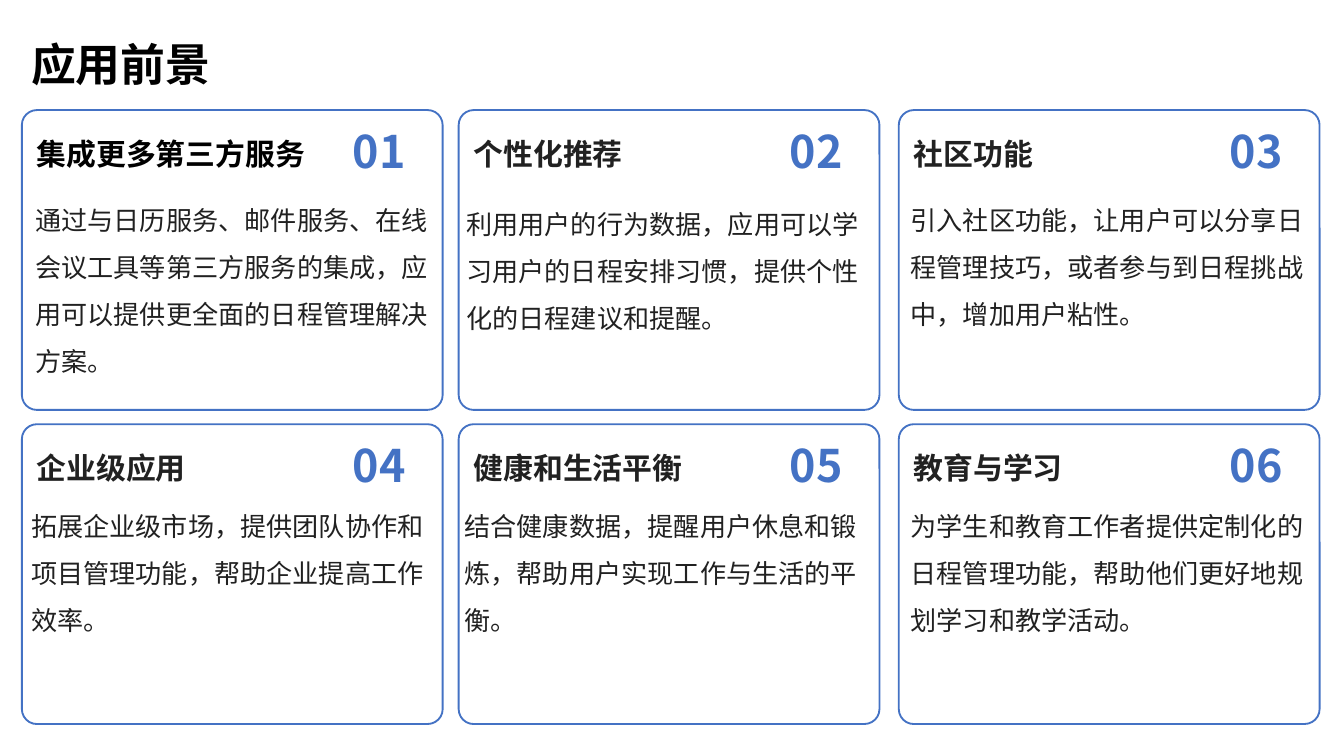
"""Build the application prospects slide with six numbered cards."""
from lxml.etree import SubElement
from pptx import Presentation
from pptx.dml.color import RGBColor
from pptx.enum.shapes import MSO_SHAPE as SHAPE
from pptx.enum.text import MSO_ANCHOR as ANCHOR, MSO_AUTO_SIZE as FIT, PP_ALIGN as ALIGN
from pptx.oxml.ns import qn
from pptx.util import Pt

PX = 5715
FONT = "Noto Sans CJK SC"
BLUE, DARK, BLACK, WHITE = "4472C4", "212121", "000000", "FFFFFF"


def rgb(value):
    return RGBColor.from_string(value)


def write(sp, text, size, color, bold=False, anchor=ANCHOR.MIDDLE,
          align=ALIGN.LEFT, spacing=1.0, wrap=True):
    tf = sp.text_frame
    tf.text = text
    tf.word_wrap = wrap
    tf.auto_size = FIT.NONE
    tf.vertical_anchor = anchor
    tf.margin_left = tf.margin_top = tf.margin_right = tf.margin_bottom = 0
    p = tf.paragraphs[0]
    p.alignment = align
    p.line_spacing = spacing
    r = p.runs[0]
    r.font.size = Pt(size)
    r.font.bold = bold
    r.font.color.rgb = rgb(color)
    r.font.name = FONT
    SubElement(r.font._element, qn("a:ea"), typeface=FONT)


prs = Presentation()
prs.slide_width, prs.slide_height = 1600 * PX, 900 * PX
s = prs.slides.add_slide(prs.slide_layouts[5])

title = s.shapes.title
title.left, title.top, title.width, title.height = 37 * PX, 16 * PX, 1418 * PX, 93 * PX
write(title, "应用前景", 24, BLACK, bold=True, anchor=ANCHOR.BOTTOM, spacing=0.9)

columns = [26, 546, 1070]
rows = [131, 505]
cards = [
    ("集成更多第三方服务", BLACK, 42, 225,
     "通过与日历服务、邮件服务、在线会议工具等第三方服务的集成，应用可以提供更全面的日程管理解决方案。"),
    ("个性化推荐", DARK, 555, 229,
     "利用用户的行为数据，应用可以学习用户的日程安排习惯，提供个性化的日程建议和提醒。"),
    ("社区功能", DARK, 1084, 225,
     "引入社区功能，让用户可以分享日程管理技巧，或者参与到日程挑战中，增加用户粘性。"),
    ("企业级应用", DARK, 37, 589,
     "拓展企业级市场，提供团队协作和项目管理功能，帮助企业提高工作效率。"),
    ("健康和生活平衡", DARK, 553, 589,
     "结合健康数据，提醒用户休息和锻炼，帮助用户实现工作与生活的平衡。"),
    ("教育与学习", DARK, 1084, 589,
     "为学生和教育工作者提供定制化的日程管理功能，帮助他们更好地规划学习和教学活动。"),
]

for i, (heading, color, body_x, body_y, body) in enumerate(cards):
    x, y = columns[i % 3], rows[i // 3]

    card = s.shapes.add_shape(SHAPE.ROUNDED_RECTANGLE, x * PX, y * PX, 501 * PX, 357 * PX)
    card.adjustments[0] = 0.05
    card.shadow.inherit = False
    card.fill.solid()
    card.fill.fore_color.rgb = rgb(WHITE)
    card.line.color.rgb = rgb(BLUE)
    card.line.width = Pt(1)

    tb = s.shapes.add_textbox(body_x * PX, body_y * PX, 482 * PX, 272 * PX)
    write(tb, body, 14, DARK, anchor=ANCHOR.TOP, spacing=1.5)

    tb = s.shapes.add_textbox((x + 18) * PX, (y + 7) * PX, 374 * PX, 90 * PX)
    write(tb, heading, 16, color, bold=True)

    tb = s.shapes.add_textbox((x + 353) * PX, (y + 3) * PX, 104 * PX, 90 * PX)
    write(tb, f"{i + 1:02d}", 24, BLUE, bold=True, align=ALIGN.RIGHT, wrap=False)

prs.save("out.pptx")
